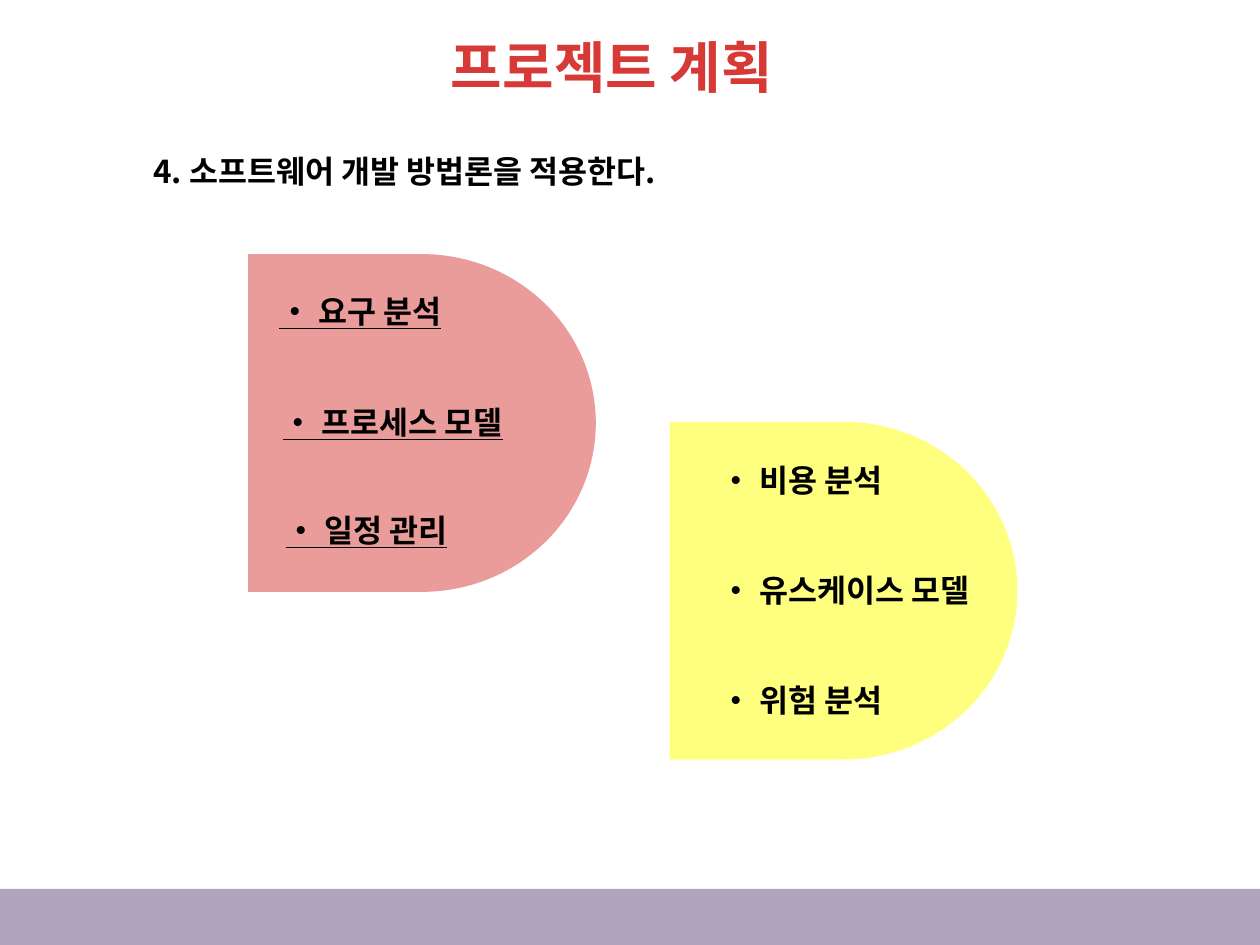
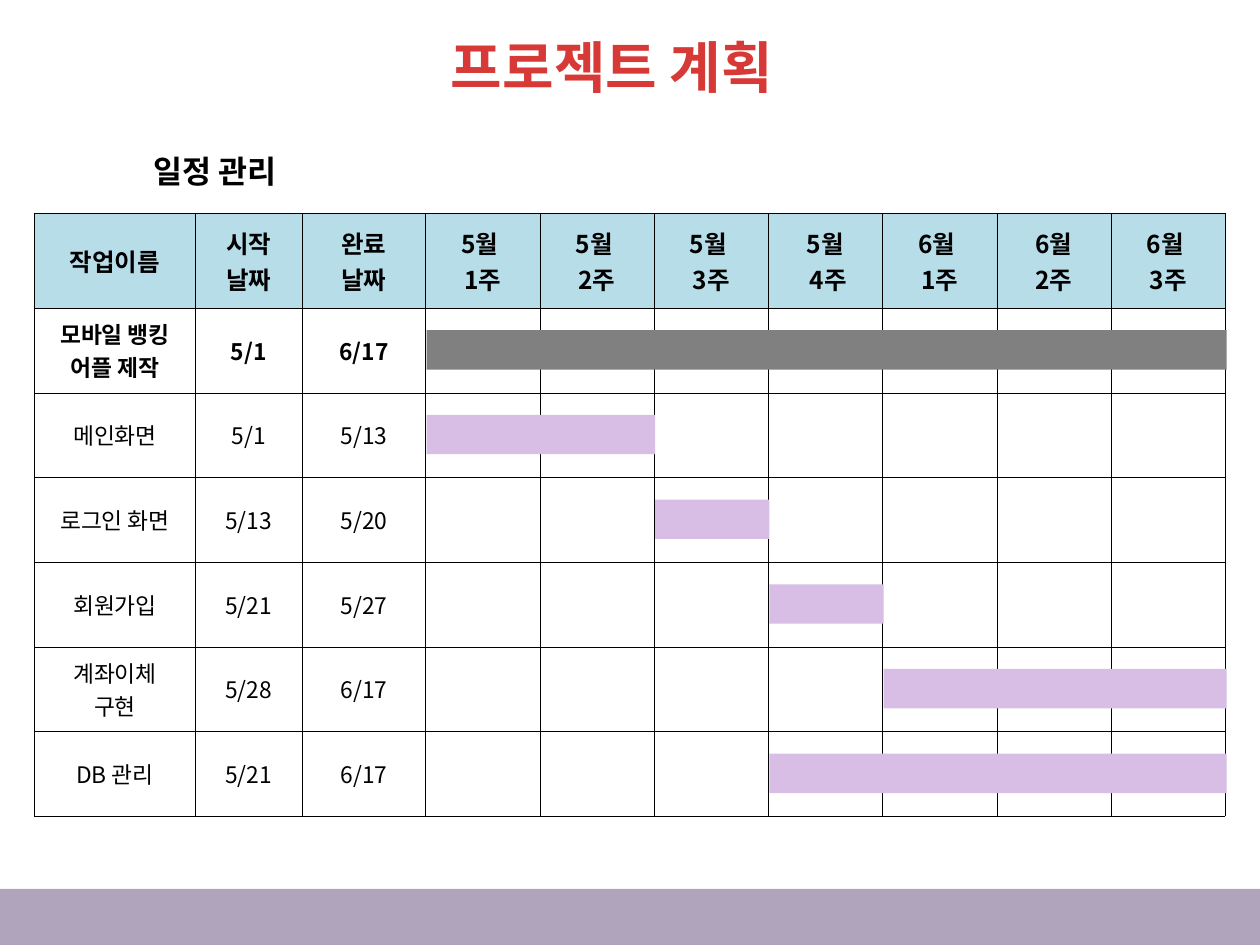
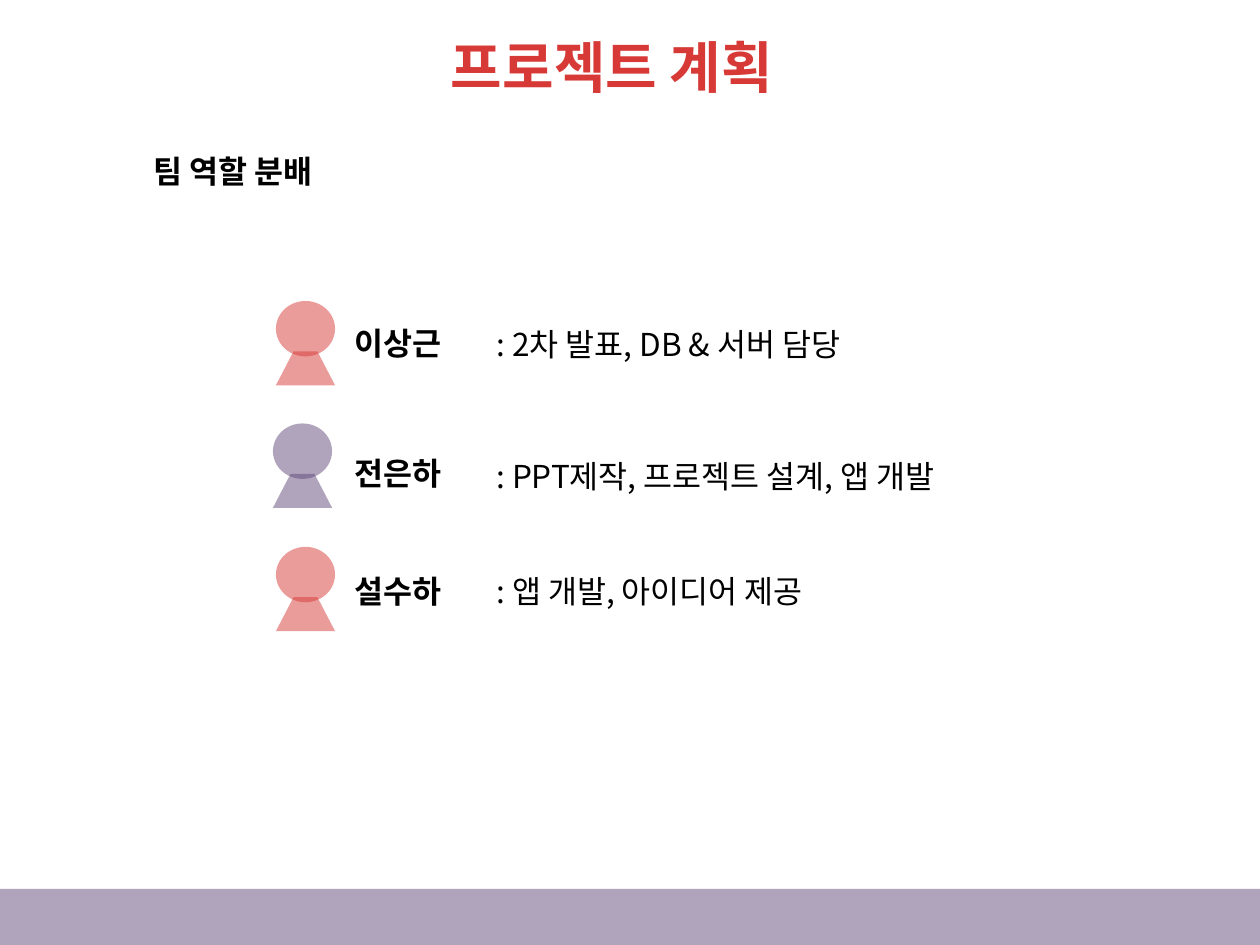
from lxml.etree import SubElement
from pptx import Presentation
from pptx.dml.color import RGBColor
from pptx.enum.shapes import MSO_SHAPE as Shape
from pptx.enum.text import MSO_ANCHOR, MSO_AUTO_SIZE, PP_ALIGN
from pptx.oxml import parse_xml
from pptx.oxml.ns import nsdecls, qn
from pptx.util import Pt

# Shared look
FONT = "Noto Sans CJK KR"
COLORS = {"red": "D73A36", "purple": "604A7B", "yellow": "FFFF00", "black": "000000",
          "header": "4BACC6", "project": "808080", "task": "D8BEE4"}
WIDTH, HEIGHT = 720, 540
BAND_TOP, BAND_HEIGHT = 508, 32.2
TITLE = "프로젝트 계획"

# Slide 1: heading, then panels (colour, left, top, underlined) with (text, left, top, width)
METHOD_HEADING = ("4. 소프트웨어 개발 방법론을 적용한다.", 332.6)
PANEL_SIZE = (198.7, 193)
PANELS = [
    ("yellow", 382.7, 241, False, [("• 비용 분석", 404.6, 259.9, 108),
                                   ("• 유스케이스 모델", 404.6, 322.6, 162),
                                   ("• 위험 분석", 404.6, 385.9, 108)]),
    ("red", 141.8, 145.2, True, [("• 요구 분석", 152.6, 163.4, 108),
                                 ("• 프로세스 모델", 154.6, 227, 144),
                                 ("• 일정 관리", 156.2, 288.6, 108)]),
]

# Slide 2: schedule; each task has name, start, end, first week, number of weeks
SCHEDULE_HEADING = ("일정 관리", 93.6)
COLUMNS = ["작업이름", "시작\n날짜", "완료\n날짜", "5월 \n1주", "5월 \n2주", "5월 \n3주",
           "5월\n 4주", "6월 \n1주", "6월\n2주", "6월 \n3주"]
TASKS = [
    ("모바일 뱅킹 어플 제작", "5/1", "6/17", 0, 7),
    ("메인화면", "5/1", "5/13", 0, 2),
    ("로그인 화면", "5/13", "5/20", 2, 1),
    ("회원가입", "5/21", "5/27", 3, 1),
    ("계좌이체\n구현", "5/28", "6/17", 4, 3),
    ("DB 관리", "5/21", "6/17", 3, 4),
]
TABLE_LEFT, TABLE_TOP = 19.8, 121.8
LABEL_WIDTHS, WEEK_WIDTH = [91.7, 61.2, 70.5], 65.3
HEADER_HEIGHT, TASK_HEIGHT = 54.2, 48.4
BAR_OFFSET, BAR_HEIGHT = 12.7, 22.5

# Slide 3: member, name top, role, role top, role width, colour, icon left, icon top
TEAM_HEADING = ("팀 역할 분배", 118)
TEAM = [
    ("이상근", 181.4, ": 2차 발표, DB & 서버 담당", 182.2, 236.9, "red", 157.7, 172),
    ("전은하", 255.9, ": PPT제작, 프로젝트 설계, 앱 개발", 257.8, 289.4, "purple", 156, 242),
    ("설수하", 323.3, ": 앱 개발, 아이디어 제공", 323.3, 211.7, "red", 157.7, 312.5),
]
NAME_LEFT, NAME_WIDTH, ROLE_LEFT = 195.8, 69.1, 276.5
ICON_WIDTH, HEAD_HEIGHT, BODY_OFFSET, BODY_HEIGHT = 33.8, 31.7, 28.8, 19.4


def set_alpha(element, percent):
    color = next(element.iter(qn("a:srgbClr")))
    SubElement(color, qn("a:alpha")).set("val", str(percent * 1000))


def style_text(frame, size, color="black", bold=True, underline=False, align=PP_ALIGN.LEFT):
    for paragraph in frame.paragraphs:
        paragraph.alignment = align
        for run in paragraph.runs:
            font = run.font
            font.name, font.size, font.bold = FONT, Pt(size), bold
            font.underline = underline or None
            font.color.rgb = RGBColor.from_string(COLORS[color])
            SubElement(font._element, qn("a:ea")).set("typeface", FONT)


def add_text(slide, text, left, top, width, size=18, **style):
    box = slide.shapes.add_textbox(Pt(left), Pt(top), Pt(width), Pt(size * 1.2 + 7.2))
    frame = box.text_frame
    frame.word_wrap = False
    frame.auto_size = MSO_AUTO_SIZE.SHAPE_TO_FIT_TEXT
    frame.text = text
    style_text(frame, size, **style)


def add_block(shapes, kind, left, top, width, height, color, alpha=None):
    block = shapes.add_shape(kind, Pt(left), Pt(top), Pt(width), Pt(height))
    block.shadow.inherit = False
    block.fill.solid()
    block.fill.fore_color.rgb = RGBColor.from_string(COLORS[color])
    block.line.fill.background()
    if alpha:
        set_alpha(block._element.spPr, alpha)
    return block


def add_page(prs, heading):
    slide = prs.slides.add_slide(prs.slide_layouts[6])
    add_block(slide.shapes, Shape.RECTANGLE, 0, BAND_TOP, WIDTH, BAND_HEIGHT, "purple", 50)
    add_text(slide, TITLE, 250.6, 15.1, 219.6, 32, color="red")
    text, width = heading
    add_text(slide, text, 80.6, 83.5, width)
    return slide


def fill_cell(cell, text, size, bold, header=False):
    cell.vertical_anchor = MSO_ANCHOR.MIDDLE
    cell.text_frame.text = text
    style_text(cell.text_frame, size, bold=bold, align=PP_ALIGN.CENTER)
    props = cell._tc.get_or_add_tcPr()
    if header:
        cell.fill.solid()
        cell.fill.fore_color.rgb = RGBColor.from_string(COLORS["header"])
        set_alpha(props, 40)
    else:
        cell.fill.background()
    for index, side in enumerate(("lnL", "lnR", "lnT", "lnB")):
        props.insert(index, parse_xml(
            f'<a:{side} {nsdecls("a")} w="{Pt(0.25)}"><a:solidFill>'
            f'<a:srgbClr val="{COLORS["black"]}"/></a:solidFill></a:{side}>'))


def build_methods(prs):
    slide = add_page(prs, METHOD_HEADING)
    for color, left, top, underline, items in PANELS:
        add_block(slide.shapes, Shape.FLOWCHART_DELAY, left, top, *PANEL_SIZE, color, 50)
        for item in items:
            add_text(slide, *item, underline=underline)


def build_schedule(prs):
    slide = add_page(prs, SCHEDULE_HEADING)
    weeks = len(COLUMNS) - len(LABEL_WIDTHS)
    widths = LABEL_WIDTHS + [WEEK_WIDTH] * weeks
    heights = [HEADER_HEIGHT] + [TASK_HEIGHT] * len(TASKS)
    schedule = slide.shapes.add_table(len(heights), len(widths), Pt(TABLE_LEFT), Pt(TABLE_TOP),
                                      Pt(sum(widths)), Pt(sum(heights))).table
    schedule.first_row = schedule.horz_banding = False
    for column, width in zip(schedule.columns, widths):
        column.width = Pt(width)
    for row, height in zip(schedule.rows, heights):
        row.height = Pt(height)

    for col, label in enumerate(COLUMNS):
        fill_cell(schedule.cell(0, col), label, 14, True, header=True)
    for row, task in enumerate(TASKS, 1):
        for col, text in enumerate(list(task[:3]) + [""] * weeks):
            fill_cell(schedule.cell(row, col), text, 13, row == 1)

    # Gantt bars over the week columns
    bars = slide.shapes.add_group_shape().shapes
    weeks_left = TABLE_LEFT + sum(LABEL_WIDTHS) + 0.6
    bars_top = TABLE_TOP + HEADER_HEIGHT + BAR_OFFSET
    for row, (_, _, _, first, count) in enumerate(TASKS):
        add_block(bars, Shape.RECTANGLE, weeks_left + first * WEEK_WIDTH,
                  bars_top + row * TASK_HEIGHT, count * WEEK_WIDTH, BAR_HEIGHT,
                  "task" if row else "project")


def build_team(prs):
    slide = add_page(prs, TEAM_HEADING)
    for name, name_top, role, role_top, role_width, color, left, top in TEAM:
        add_block(slide.shapes, Shape.OVAL, left, top, ICON_WIDTH, HEAD_HEIGHT, color, 50)
        body = add_block(slide.shapes, Shape.TRAPEZOID, left, top + BODY_OFFSET,
                         ICON_WIDTH, BODY_HEIGHT, color, 50)
        body.adjustments[0] = 0.52
        add_text(slide, name, NAME_LEFT, name_top, NAME_WIDTH)
        add_text(slide, role, ROLE_LEFT, role_top, role_width, bold=False)


def main():
    prs = Presentation()
    prs.slide_width, prs.slide_height = Pt(WIDTH), Pt(HEIGHT)
    build_methods(prs)
    build_schedule(prs)
    build_team(prs)
    prs.save("out.pptx")


if __name__ == "__main__":
    main()
